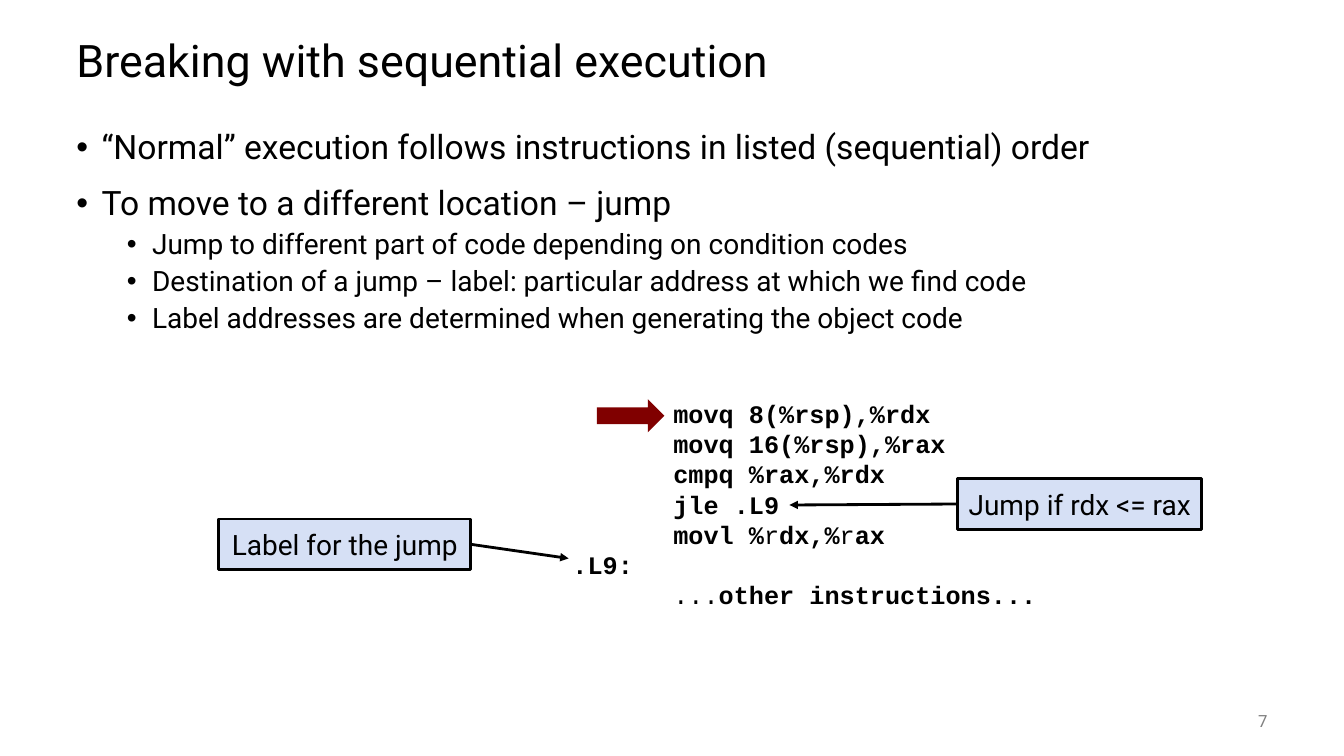
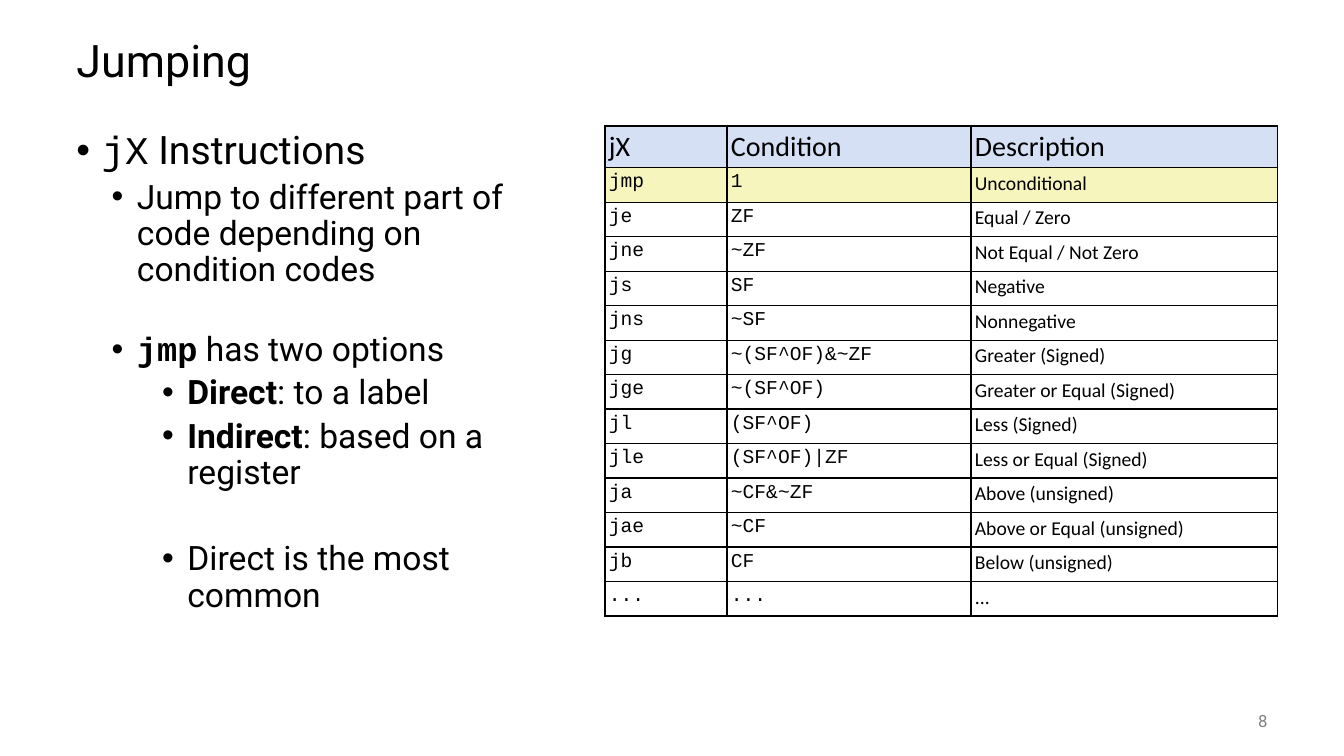
from lxml import etree
from pptx import Presentation
from pptx import util as u
from pptx.dml import color
from pptx.enum import shapes, text
from pptx.oxml import ns

PX = u.Inches(1) // 100

BLACK, GREY, MAROON = "000000", "808080", "800000"
PALE_BLUE, PALE_YELLOW = "D6E0F5", "F6F5BD"
SANS, MONO, TABLE_FONT = "Roboto", "Courier New", "Calibri"

TITLE_BOX = (66, 25, 1200, 75)
NUMBER_BOX = (1167, 695, 100, 40)
MIDDLE = text.MSO_ANCHOR.MIDDLE

BOLD = {"bold": True}
PLAIN = {"bold": False}
CODE = {"name": MONO}

EXECUTION_POINTS = [
    {"runs": "“Normal” execution follows instructions in listed (sequential) order"},
    {"runs": "To move to a different location – jump"},
    {"runs": "Jump to different part of code depending on condition codes", "level": 1},
    {"runs": "Destination of a jump – label: particular address at which we find code", "level": 1},
    {"runs": "Label addresses are determined when generating the object code", "level": 1},
]
EXECUTION_LEVELS = [
    {"size": 24, "indent": 25, "before": 14},
    {"size": 20, "indent": 75, "before": 5},
]
CODE_LINES = [
    "\tmovq 8(%rsp),%rdx",
    "\tmovq 16(%rsp),%rax",
    "\tcmpq %rax,%rdx",
    "\tjle .L9",
    [("\tmovl %", {}), ("r", PLAIN), ("dx,%", {}), ("r", PLAIN), ("ax", {})],
    ".L9:",
    [("\t", {}), ("...", PLAIN), ("other instructions...", {})],
]

JUMP_POINTS = [
    {"runs": [("jX", CODE), (" Instructions", {})]},
    {"runs": "Jump to different part of code depending on condition codes", "level": 1},
    {"runs": [("jmp", {**CODE, **BOLD}), (" has two options", {})], "level": 1, "before": 31},
    {"runs": [("Direct", BOLD), (": to a label", {})], "level": 2},
    {"runs": [("Indirect", BOLD), (": based on a register", {})], "level": 2},
    {"runs": "Direct is the most common", "level": 2, "before": 36},
]
JUMP_LEVELS = [
    {"size": 28, "indent": 25, "before": 14},
    {"size": 24, "indent": 60, "before": 5},
    {"size": 24, "indent": 110, "before": 5},
]
JUMP_ROWS = [
    ("jX", "Condition", "Description"),
    ("jmp", "1", "Unconditional"),
    ("je", "ZF", "Equal / Zero"),
    ("jne", "~ZF", "Not Equal / Not Zero"),
    ("js", "SF", "Negative"),
    ("jns", "~SF", "Nonnegative"),
    ("jg", "~(SF^OF)&~ZF", "Greater (Signed)"),
    ("jge", "~(SF^OF)", "Greater or Equal (Signed)"),
    ("jl", "(SF^OF)", "Less (Signed)"),
    ("jle", "(SF^OF)|ZF", "Less or Equal (Signed)"),
    ("ja", "~CF&~ZF", "Above (unsigned)"),
    ("jae", "~CF", "Above or Equal (unsigned)"),
    ("jb", "CF", "Below (unsigned)"),
    ("...", "...", "..."),
]


def px(*lengths):
    return [u.Emu(length * PX) for length in lengths]


def rgb(value):
    return color.RGBColor.from_string(value)


def set_all(target, values):
    for name, value in values.items():
        setattr(target, name, value)


def add_element(parent, tag, **attributes):
    element = etree.SubElement(parent, ns.qn(tag))
    for name, value in attributes.items():
        element.set(name, str(value))
    return element


def write_runs(paragraph, runs, size, name=SANS, bold=False, ink=BLACK):
    if isinstance(runs, str):
        runs = [(runs, {})]
    for words, changes in runs:
        run = paragraph.add_run()
        run.text = words
        set_all(run.font, {"name": name, "size": u.Pt(size), "bold": bold, **changes})
        run.font.color.rgb = rgb(ink)


def paragraphs_for(frame, items):
    for index, item in enumerate(items):
        yield (frame.add_paragraph() if index else frame.paragraphs[0]), item


def add_text_frame(slide, box, **values):
    frame = slide.shapes.add_textbox(*px(*box)).text_frame
    set_all(frame, {"word_wrap": True, **values})
    return frame


def add_page(presentation, title, number):
    slide = presentation.slides.add_slide(presentation.slide_layouts[6])
    heading = add_text_frame(slide, TITLE_BOX, vertical_anchor=MIDDLE).paragraphs[0]
    heading.line_spacing = 0.9
    write_runs(heading, title, 32)
    footer = add_text_frame(slide, NUMBER_BOX, vertical_anchor=MIDDLE).paragraphs[0]
    footer.alignment = text.PP_ALIGN.RIGHT
    write_runs(footer, str(number), 12, ink=GREY)
    return slide


def add_bullets(slide, box, points, levels):
    frame = add_text_frame(slide, box)
    for paragraph, point in paragraphs_for(frame, points):
        level = point.get("level", 0)
        style = levels[level]
        properties = paragraph._p.get_or_add_pPr()
        properties.set("marL", str(style["indent"] * PX))
        properties.set("indent", str(-25 * PX))
        add_element(properties, "a:buFont", typeface="Arial")
        add_element(properties, "a:buChar", char="•")
        before = point.get("before", style["before"]) if point is not points[0] else 0
        set_all(paragraph, {"level": level, "line_spacing": 0.9, "space_before": u.Pt(before)})
        write_runs(paragraph, point["runs"], style["size"])


def add_code(slide, box):
    frame = add_text_frame(slide, box)
    for paragraph, line in paragraphs_for(frame, CODE_LINES):
        tabs = add_element(paragraph._p.get_or_add_pPr(), "a:tabLst")
        add_element(tabs, "a:tab", pos=100 * PX, algn="l")
        write_runs(paragraph, line, 18, name=MONO, bold=True)


def add_block(slide, kind, box, fill):
    shape = slide.shapes.add_shape(kind, *px(*box))
    shape.shadow.inherit = False
    shape.fill.solid()
    shape.fill.fore_color.rgb = rgb(fill)
    return shape


def set_line(line):
    line.color.rgb = rgb(BLACK)
    line.width = u.Pt(2)


def add_callout(slide, box, words, side, target):
    shape = add_block(slide, shapes.MSO_SHAPE.RECTANGLE, box, PALE_BLUE)
    set_line(shape.line)
    set_all(shape.text_frame, {"word_wrap": False, "vertical_anchor": MIDDLE})
    paragraph = shape.text_frame.paragraphs[0]
    paragraph.alignment = text.PP_ALIGN.CENTER
    write_runs(paragraph, words, 20)
    pointer = slide.shapes.add_connector(
        shapes.MSO_CONNECTOR.STRAIGHT, *px(box[0], box[1], *target))
    pointer.begin_connect(shape, side)
    set_line(pointer.line)
    add_element(pointer.line._get_or_add_ln(), "a:tailEnd", type="triangle")
    add_element(pointer._element.spPr, "a:effectLst")


def add_code_example(slide, left, top):
    add_code(slide, (left, top, 500, 222))
    add_callout(slide, (left + 392, top + 85, 242, 50), "Jump if rdx <= rax",
                1, (left + 225, top + 111))
    add_callout(slide, (left - 341, top + 125, 250, 50), "Label for the jump",
                3, (left + 6, top + 164))
    arrow = add_block(slide, shapes.MSO_SHAPE.RIGHT_ARROW,
                      (left + 34, top + 6, 67, 33), MAROON)
    arrow.line.fill.background()


def add_borders(cell):
    properties = cell._tc.get_or_add_tcPr()
    for index, side in enumerate(("a:lnL", "a:lnR", "a:lnT", "a:lnB")):
        line = etree.Element(ns.qn(side), w=str(u.Pt(1)))
        add_element(add_element(line, "a:solidFill"), "a:srgbClr", val=BLACK)
        properties.insert(index, line)


def fill_cell(cell, words, row, column):
    set_all(cell, dict.fromkeys(
        ("margin_left", "margin_top", "margin_right", "margin_bottom"), px(4)[0]))
    fill = {0: PALE_BLUE, 1: PALE_YELLOW}.get(row)
    if fill:
        cell.fill.solid()
        cell.fill.fore_color.rgb = rgb(fill)
    else:
        cell.fill.background()
    add_borders(cell)
    name = TABLE_FONT if row == 0 or column == 2 else MONO
    write_runs(cell.text_frame.paragraphs[0], words, 14 if row else 20, name=name)


def add_jump_table(slide, box):
    widths = (121, 242, 304)
    header, height = px(41, box[3])
    row_height = (height - header) // (len(JUMP_ROWS) - 1)
    table = slide.shapes.add_table(len(JUMP_ROWS), len(widths), *px(*box)).table
    set_all(table, {"first_row": False, "horz_banding": False})
    for column, width in zip(table.columns, px(*widths)):
        column.width = width
    for row, entries in enumerate(JUMP_ROWS):
        table.rows[row].height = row_height if row else header
        for column, words in enumerate(entries):
            fill_cell(table.cell(row, column), words, row, column)


def main():
    presentation = Presentation()
    presentation.slide_width, presentation.slide_height = px(1333, 750)

    slide = add_page(presentation, "Breaking with sequential execution", 7)
    add_bullets(slide, (66, 125, 1200, 550), EXECUTION_POINTS, EXECUTION_LEVELS)
    add_code_example(slide, 558, 390)

    slide = add_page(presentation, "Jumping", 8)
    add_bullets(slide, (66, 125, 505, 550), JUMP_POINTS, JUMP_LEVELS)
    add_jump_table(slide, (600, 125, 667, 486))

    presentation.save("out.pptx")


if __name__ == "__main__":
    main()
